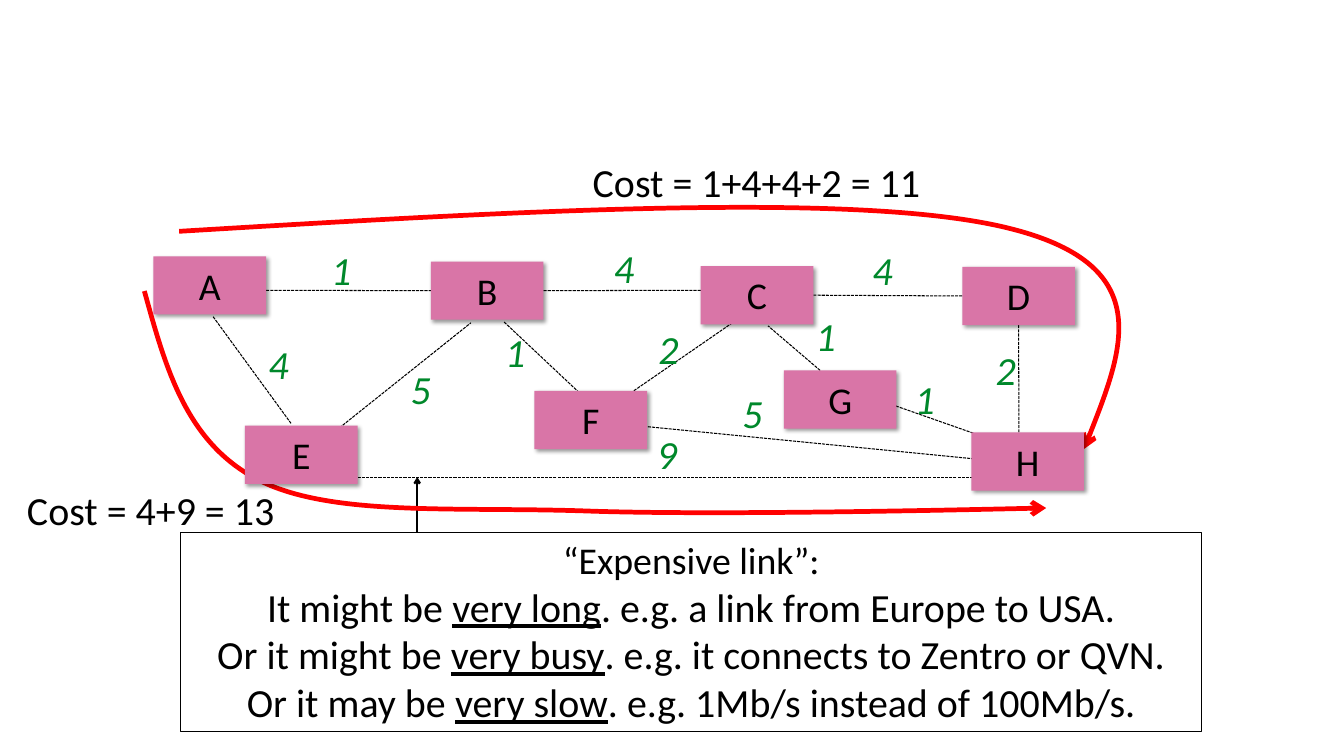
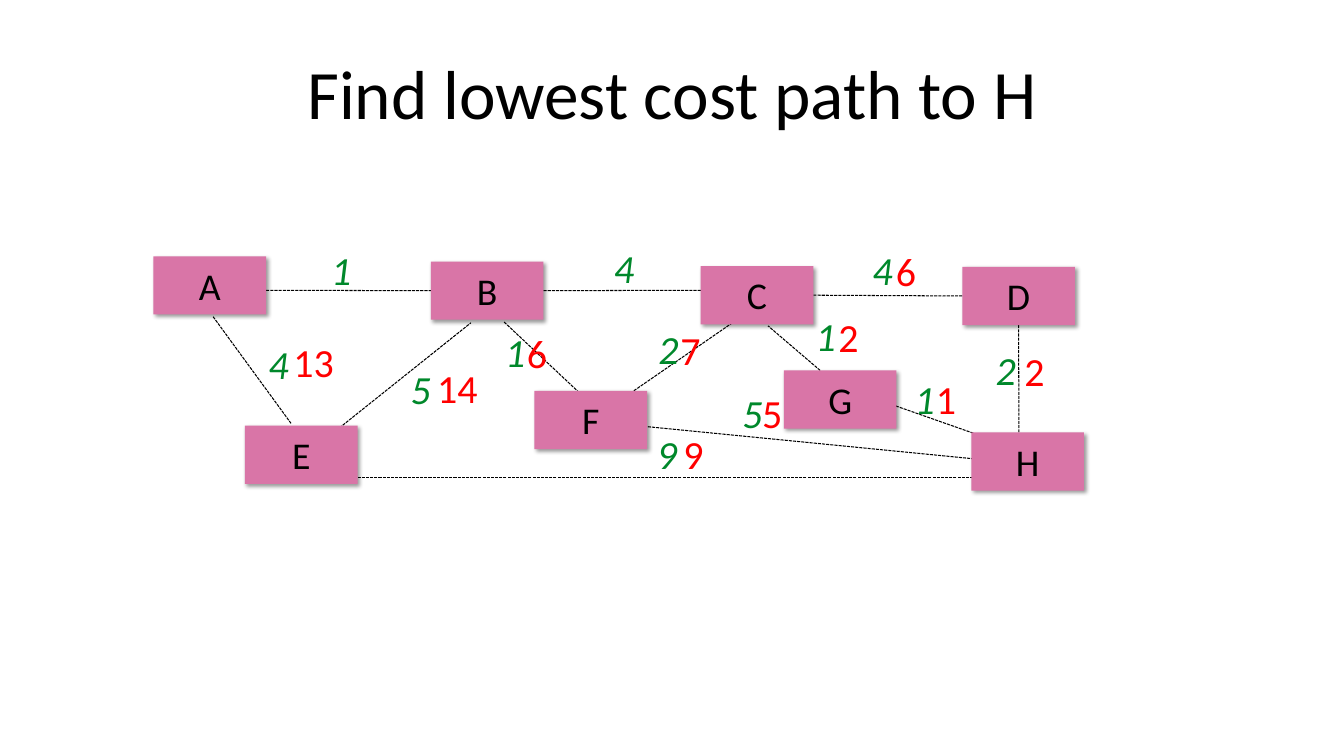
from lxml import etree
from pptx import Presentation
from pptx.dml.color import RGBColor
from pptx.enum.dml import MSO_LINE_DASH_STYLE as DASH
from pptx.enum.shapes import MSO_CONNECTOR as CONNECTOR, MSO_SHAPE as SHAPE
from pptx.enum.text import MSO_ANCHOR as ANCHOR, MSO_AUTO_SIZE as AUTO, PP_ALIGN as ALIGN
from pptx.oxml.ns import qn
from pptx.util import Inches, Pt

BLACK, WHITE, PINK, GREEN, RED = "000000", "FFFFFF", "D975A7", "00882B", "FF0000"
TOP, LEFT, BOTTOM, RIGHT = range(4)
NODE_W, NODE_H = 1.49, 0.77

NODES = {
    "A": (2.03, 3.39), "B": (5.7, 3.46), "C": (9.27, 3.52), "D": (12.73, 3.53),
    "E": (3.24, 5.63), "F": (7.07, 5.17), "G": (10.37, 4.9), "H": (12.85, 5.72),
}
LINKS = [
    ((3.41, 3.84), (5.78, 3.84), None, ("B", LEFT)),
    ((2.82, 4.19), (3.85, 5.6), None, None),
    ((13.48, 6.31), (4.42, 6.31), None, None),
    ((12.89, 6.07), (8.12, 5.6), None, None),
    ((13.19, 5.84), (11.85, 5.37), None, None),
    ((13.48, 5.72), (13.48, 4.31), None, ("D", BOTTOM)),
    ((7.14, 3.84), (9.3, 3.84), ("B", RIGHT), None),
    ((10.67, 3.9), (12.74, 3.9), ("C", RIGHT), ("D", LEFT)),
    ((6.67, 4.26), (7.67, 5.2), None, None),
    ((10.85, 4.9), (10.16, 4.31), None, None),
    ((8.34, 5.2), (9.69, 4.27), None, None),
    ((4.49, 5.66), (6.23, 4.27), None, None),
]
WEIGHTS = [
    ("1", 4.28, 3.2), ("4", 8.02, 3.17), ("4", 11.44, 3.2), ("2", 13.07, 4.52),
    ("9", 8.59, 5.64), ("4", 3.45, 4.44), ("1", 6.58, 4.29), ("1", 10.69, 4.07),
    ("5", 9.72, 5.09), ("1", 12, 4.9), ("5", 5.33, 4.77), ("2", 8.61, 4.24),
]
COSTS_TO_H = [
    ("2", 13.44, 4.52), ("9", 8.93, 5.62), ("5", 9.97, 5.08), ("1", 12.27, 4.89),
    ("6", 11.74, 3.2), ("2", 10.98, 4.07), ("7", 8.89, 4.25), ("6", 6.86, 4.29),
    ("14", 5.67, 4.75), ("13", 3.77, 4.41),
]
EXPENSIVE = [
    ("It might be ", "very long", ". e.g. a link from Europe to USA."),
    ("Or it might be ", "very busy", ". e.g. it connects to Zentro or QVN."),
    ("Or it may be ", "very slow", ". e.g. 1Mb/s instead of 100Mb/s."),
]


def color(value):
    return RGBColor.from_string(value)


class Deck:
    """Draws styled network elements on the current slide."""

    def __init__(self):
        self.prs = Presentation()
        self.prs.slide_width, self.prs.slide_height = Inches(17.78), Inches(10)
        self.shapes = None

    def new_slide(self):
        self.shapes = self.prs.slides.add_slide(self.prs.slide_layouts[6]).shapes

    def style(self, p, size, fill=BLACK, italic=False):
        p.alignment = ALIGN.CENTER
        p.font.name, p.font.size, p.font.italic = "Calibri", Pt(size), italic
        p.font.color.rgb = color(fill)

    def frame(self, s, wrap=False, auto=AUTO.SHAPE_TO_FIT_TEXT, inset=(0.1, 0.05)):
        tf = s.text_frame
        tf.word_wrap, tf.auto_size, tf.vertical_anchor = wrap, auto, ANCHOR.TOP
        tf.margin_left = tf.margin_right = Inches(inset[0])
        tf.margin_top = tf.margin_bottom = Inches(inset[1])
        return tf

    def text(self, text, x, y, w, h=0.74, size=38, fill=BLACK, italic=False, **frame):
        s = self.shapes.add_textbox(Inches(x), Inches(y), Inches(w), Inches(h))
        tf = self.frame(s, **frame)
        tf.text = text
        self.style(tf.paragraphs[0], size, fill, italic)
        return tf

    def title(self, text):
        tf = self.text(text, 0, 0.33, 17.78, 1.78, 66, wrap=True, auto=AUTO.NONE, inset=(0.06, 0.06))
        tf.vertical_anchor = ANCHOR.MIDDLE

    def rect(self, x, y, w, h, fill):
        s = self.shapes.add_shape(SHAPE.RECTANGLE, Inches(x), Inches(y), Inches(w), Inches(h))
        s.shadow.inherit = False
        s.fill.solid()
        s.fill.fore_color.rgb = color(fill)
        return s

    def node(self, name, x, y):
        s = self.rect(x, y, NODE_W, NODE_H, PINK)
        s.line.fill.background()
        effects = s._element.spPr.find(qn("a:effectLst"))
        shadow = etree.SubElement(effects, qn("a:outerShdw"), blurRad=str(Pt(4)), dist=str(Pt(3)),
                                  dir="2700000", algn="tl", rotWithShape="0")
        black = etree.SubElement(shadow, qn("a:srgbClr"), val=BLACK)
        etree.SubElement(black, qn("a:alpha"), val="40000")
        tf = self.frame(s, wrap=True, inset=(0.16, 0.08))
        tf.text = name
        self.style(tf.paragraphs[0], 36)
        return s

    def line(self, start, end, width=1, dash=None):
        s = self.shapes.add_connector(CONNECTOR.STRAIGHT, *map(Inches, start + end))
        s.line.color.rgb, s.line.width, s.line.dash_style = color(BLACK), Pt(width), dash
        etree.SubElement(s._element.spPr, qn("a:effectLst"))
        return s

    def arrowhead(self, s):
        etree.SubElement(s.line._get_or_add_ln(), qn("a:tailEnd"), type="arrow")

    def route(self, bounds, start, *curves):
        x, y, w, h = map(Inches, bounds)
        fb = self.shapes.build_freeform(x, y)
        fb.add_line_segments([(x + w, y + h)], close=False)
        s = fb.convert_to_shape()
        outline = next(s._element.iter(qn("a:path")))
        for child in list(outline):
            outline.remove(child)
        for tag, points in [("a:moveTo", [start])] + [("a:cubicBezTo", c) for c in curves]:
            step = etree.SubElement(outline, qn(tag))
            for px, py in points:
                etree.SubElement(step, qn("a:pt"), x=str(Inches(px) - x), y=str(Inches(py) - y))
        s.shadow.inherit = False
        s.fill.background()
        s.line.color.rgb, s.line.width = color(RED), Pt(4.5)
        self.arrowhead(s)

    def note(self, heading, lines):
        s = self.rect(2.39, 7.04, 13.51, 2.64, WHITE)
        s.line.color.rgb, s.line.width = color(BLACK), Pt(0.75)
        tf = self.frame(s, inset=(0.11, 0.06))
        tf.text = heading
        self.style(tf.paragraphs[0], 36)
        for before, stressed, after in lines:
            p = tf.add_paragraph()
            for part in (before, stressed, after):
                r = p.add_run()
                r.text = part
                r.font.underline = True if part == stressed else None
            self.style(p, 38)

    def network(self):
        nodes = {name: self.node(name, *at) for name, at in NODES.items()}
        for i, (start, end, begin_join, end_join) in enumerate(LINKS):
            s = self.line(start, end, dash=DASH.SQUARE_DOT)
            if begin_join:
                s.begin_connect(nodes[begin_join[0]], begin_join[1])
            if end_join:
                s.end_connect(nodes[end_join[0]], end_join[1])
            self.shapes._spTree.insert(2 + i, s._element)
        for weight, x, y in WEIGHTS:
            self.text(weight, x, y, 0.47, fill=GREEN, italic=True)


def main():
    deck = Deck()

    deck.new_slide()
    deck.arrowhead(deck.line((5.52, 7.04), (5.52, 6.31), width=2))
    deck.note("“Expensive link”:", EXPENSIVE)
    deck.text("Cost = 4+9 = 13", 0.24, 6.37, 3.51)
    deck.route((1.91, 3.85, 11.92, 2.93), (1.91, 3.85),
               [(2.19, 4.86), (2.46, 5.87), (3.44, 6.36)],
               [(4.41, 6.84), (6.04, 6.7), (7.77, 6.76)],
               [(9.5, 6.82), (13.84, 6.72), (13.84, 6.72)])
    deck.text("Cost = 1+4+4+2 = 11", 7.72, 2.04, 4.58)
    deck.route((2.37, 2.74, 12.4, 3.19), (2.37, 3.06),
               [(6.84, 2.79), (11.31, 2.53), (13.31, 3.01)],
               [(15.31, 3.49), (14.83, 4.71), (14.34, 5.94)])
    deck.network()

    deck.new_slide()
    deck.title("Find lowest cost path to H")
    deck.network()
    for cost, x, y in COSTS_TO_H:
        deck.text(cost, x, y, 0.49 if len(cost) == 1 else 0.76, 0.75, fill=RED, inset=(0.11, 0.06))

    deck.prs.save("out.pptx")


if __name__ == "__main__":
    main()
